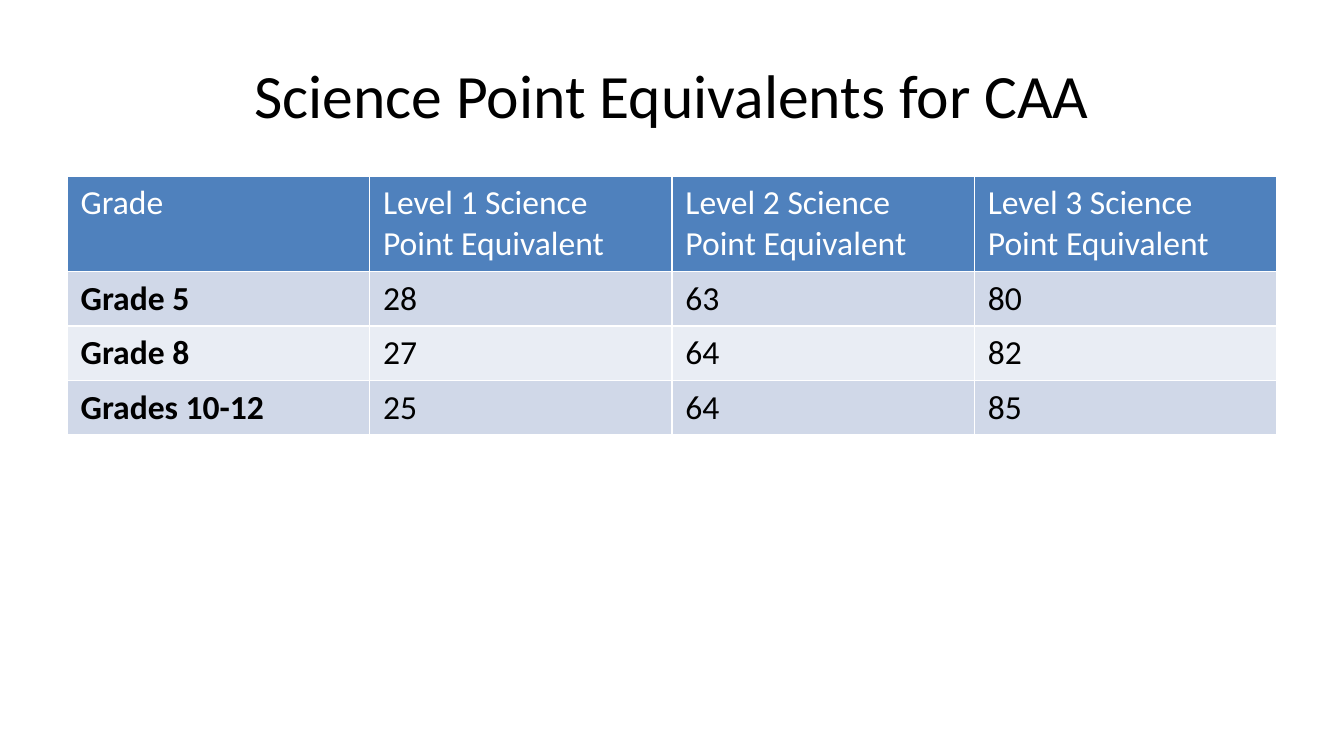
from dataclasses import dataclass

import lxml.etree
import pptx
import pptx.dml.color
import pptx.enum.text
import pptx.oxml.ns
import pptx.slide
import pptx.table
import pptx.util

Inches = pptx.util.Inches


@dataclass(frozen=True)
class Theme:
    font: str = "Calibri"
    title_size: float = 33
    table_size: float = 18
    ink: str = "000000"
    header_ink: str = "FFFFFF"
    header_fill: str = "4F81BD"
    bands: tuple[str, str] = ("D0D8E8", "E9EDF4")
    border: str = "FFFFFF"
    border_width: float = 1


@dataclass(frozen=True)
class GradeRow:
    grade: str
    points: tuple[int, int, int]


@dataclass(frozen=True)
class CellStyle:
    fill: str
    ink: str
    bold: bool = False


THEME = Theme()
TITLE = "Science Point Equivalents for CAA"
HEADINGS = ["Grade"] + [f"Level {level} Science Point Equivalent" for level in (1, 2, 3)]
GRADES = [
    GradeRow("Grade 5", (28, 63, 80)),
    GradeRow("Grade 8", (27, 64, 82)),
    GradeRow("Grades 10-12", (25, 64, 85)),
]
SLIDE_WIDTH = 10
SLIDE_HEIGHT = SLIDE_WIDTH * 9 / 16
LEFT, WIDTH = 0.5, 9
TABLE_TOP, HEADER_HEIGHT, ROW_HEIGHT = 1.31, 0.7, 0.4


def add_run(paragraph, text: str, size: float, ink: str, bold: bool = False) -> None:
    run = paragraph.add_run()
    run.text = text
    run.font.name = THEME.font
    run.font.size = pptx.util.Pt(size)
    run.font.bold = bold
    run.font.color.rgb = pptx.dml.color.RGBColor.from_string(ink)


def set_borders(cell: pptx.table._Cell) -> None:
    qn = pptx.oxml.ns.qn
    properties = cell._tc.get_or_add_tcPr()
    width = str(pptx.util.Pt(THEME.border_width))
    for side in "LRTB":
        line = lxml.etree.SubElement(properties, qn(f"a:ln{side}"), w=width)
        fill = lxml.etree.SubElement(line, qn("a:solidFill"))
        lxml.etree.SubElement(fill, qn("a:srgbClr"), val=THEME.border)


def fill_cell(cell: pptx.table._Cell, text: str, style: CellStyle) -> None:
    set_borders(cell)
    cell.fill.solid()
    cell.fill.fore_color.rgb = pptx.dml.color.RGBColor.from_string(style.fill)
    add_run(cell.text_frame.paragraphs[0], text, THEME.table_size, style.ink, style.bold)


def add_title(slide: pptx.slide.Slide) -> None:
    title = slide.shapes.title
    title.left, title.top = Inches(LEFT), Inches(0.23)
    title.width, title.height = Inches(WIDTH), Inches(0.94)
    title.text_frame.vertical_anchor = pptx.enum.text.MSO_ANCHOR.MIDDLE
    heading = title.text_frame.paragraphs[0]
    heading.alignment = pptx.enum.text.PP_ALIGN.CENTER
    add_run(heading, TITLE, THEME.title_size, THEME.ink)


def add_points_table(slide: pptx.slide.Slide) -> None:
    heights = [HEADER_HEIGHT] + [ROW_HEIGHT] * len(GRADES)
    points_table = slide.shapes.add_table(
        len(heights), len(HEADINGS),
        Inches(LEFT), Inches(TABLE_TOP), Inches(WIDTH), Inches(sum(heights)),
    ).table
    for row, height in zip(points_table.rows, heights):
        row.height = Inches(height)

    # Header row
    header = CellStyle(THEME.header_fill, THEME.header_ink)
    for column, heading in enumerate(HEADINGS):
        fill_cell(points_table.cell(0, column), heading, header)

    # Banded grade rows, with the grade itself in bold
    for index, entry in enumerate(GRADES):
        band = THEME.bands[index % 2]
        for column, value in enumerate((entry.grade, *entry.points)):
            style = CellStyle(band, THEME.ink, bold=column == 0)
            fill_cell(points_table.cell(index + 1, column), str(value), style)


def main() -> None:
    deck = pptx.Presentation()
    deck.slide_width, deck.slide_height = Inches(SLIDE_WIDTH), Inches(SLIDE_HEIGHT)
    slide = deck.slides.add_slide(deck.slide_layouts.get_by_name("Title Only"))
    add_title(slide)
    add_points_table(slide)
    deck.save("out.pptx")


if __name__ == "__main__":
    main()
